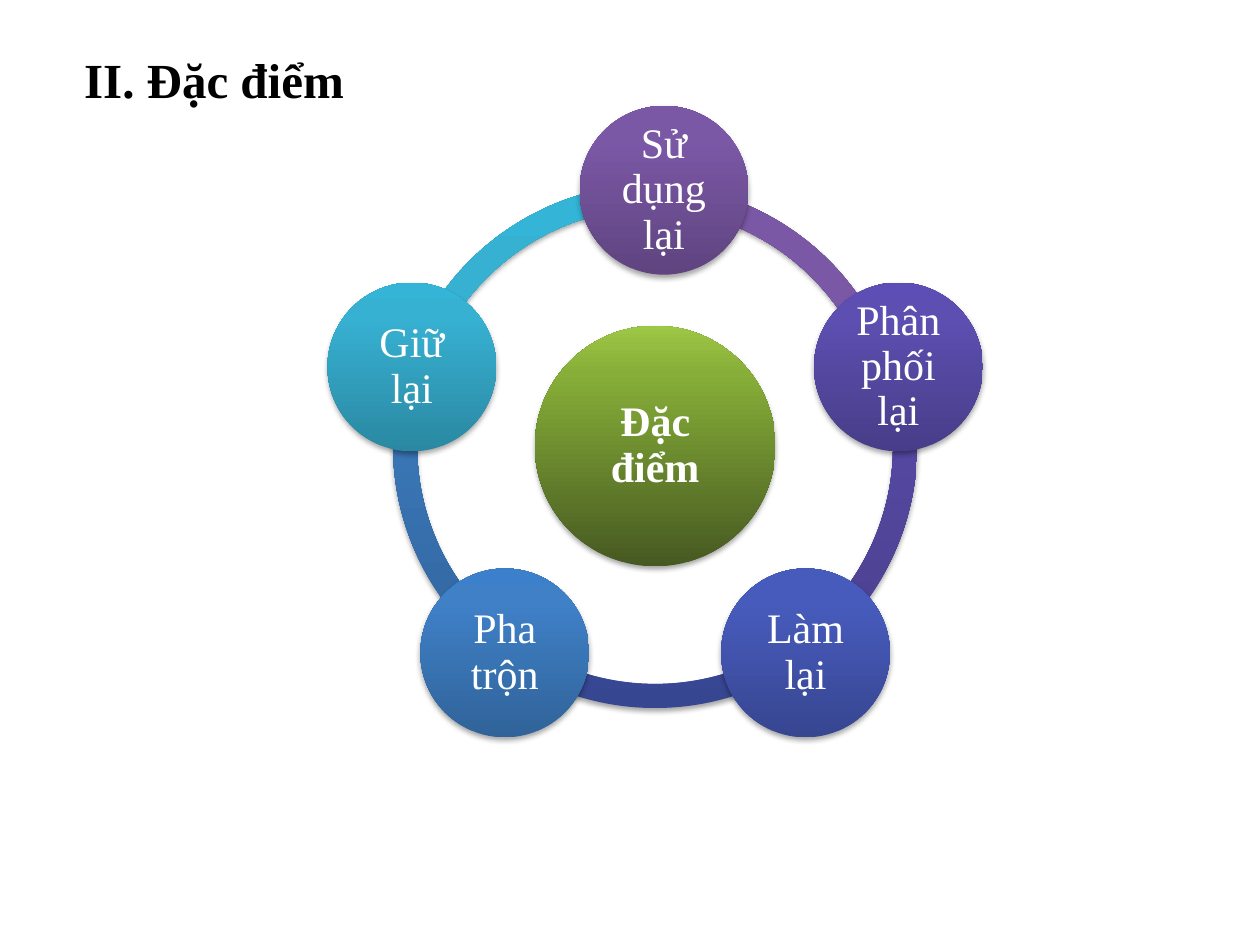
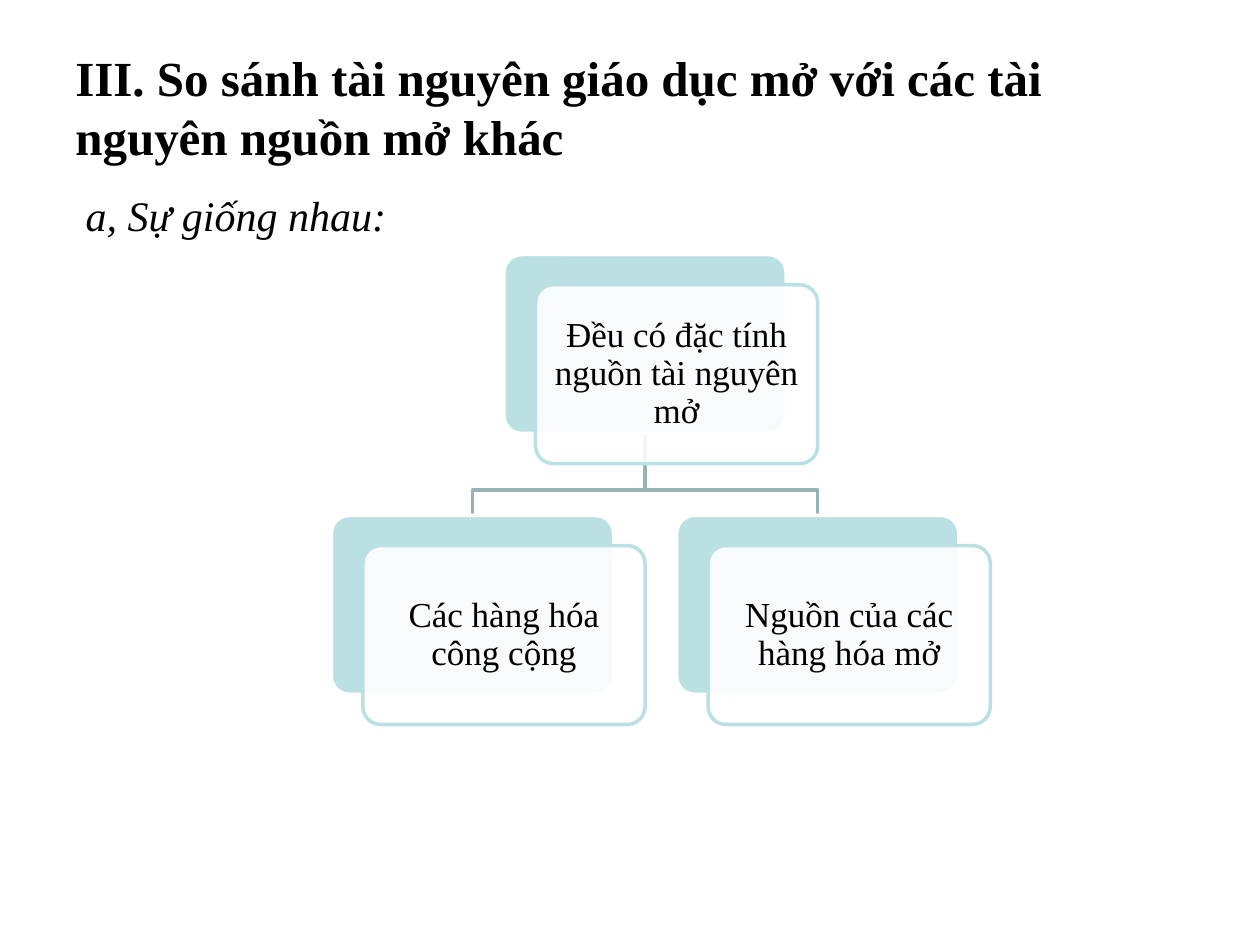
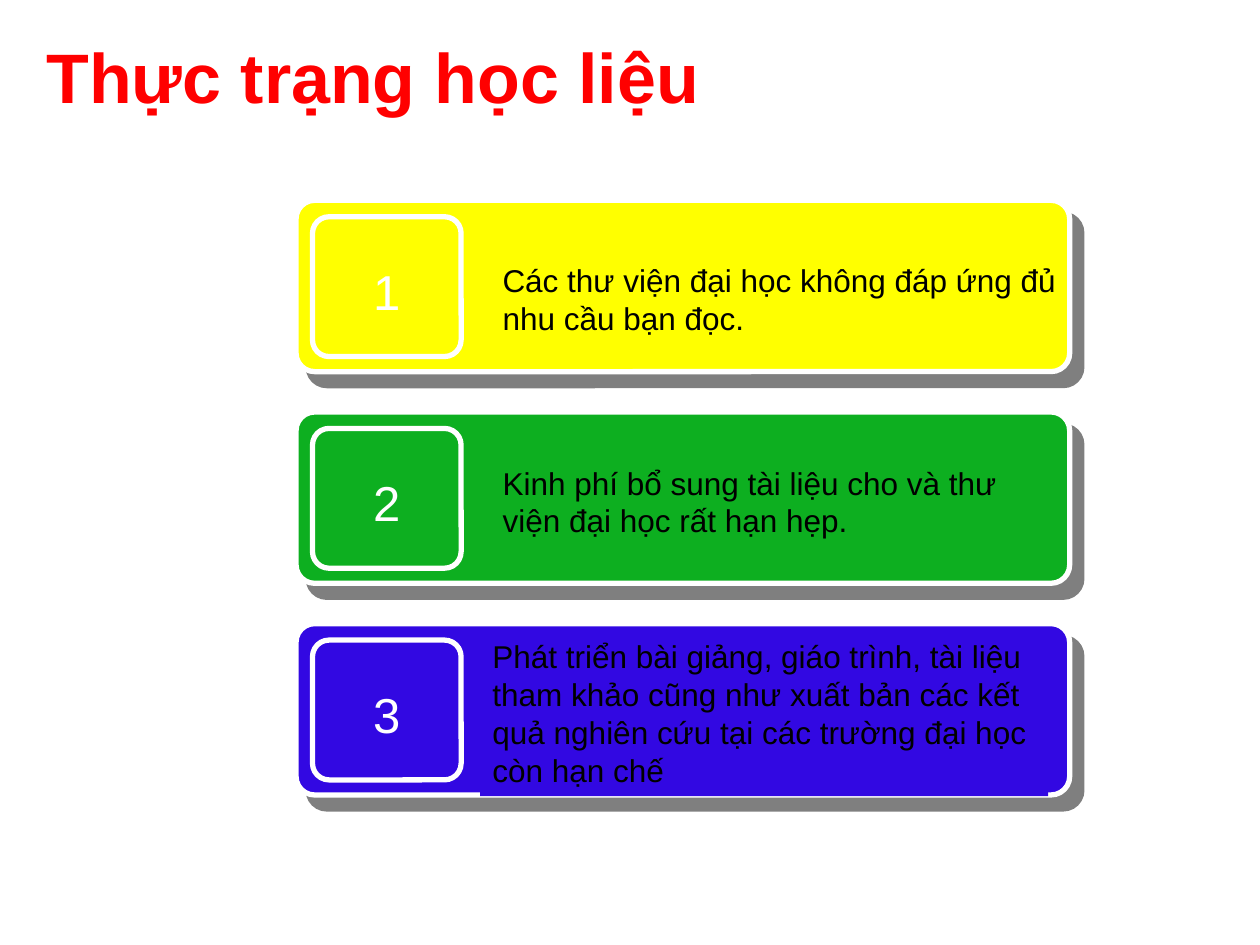
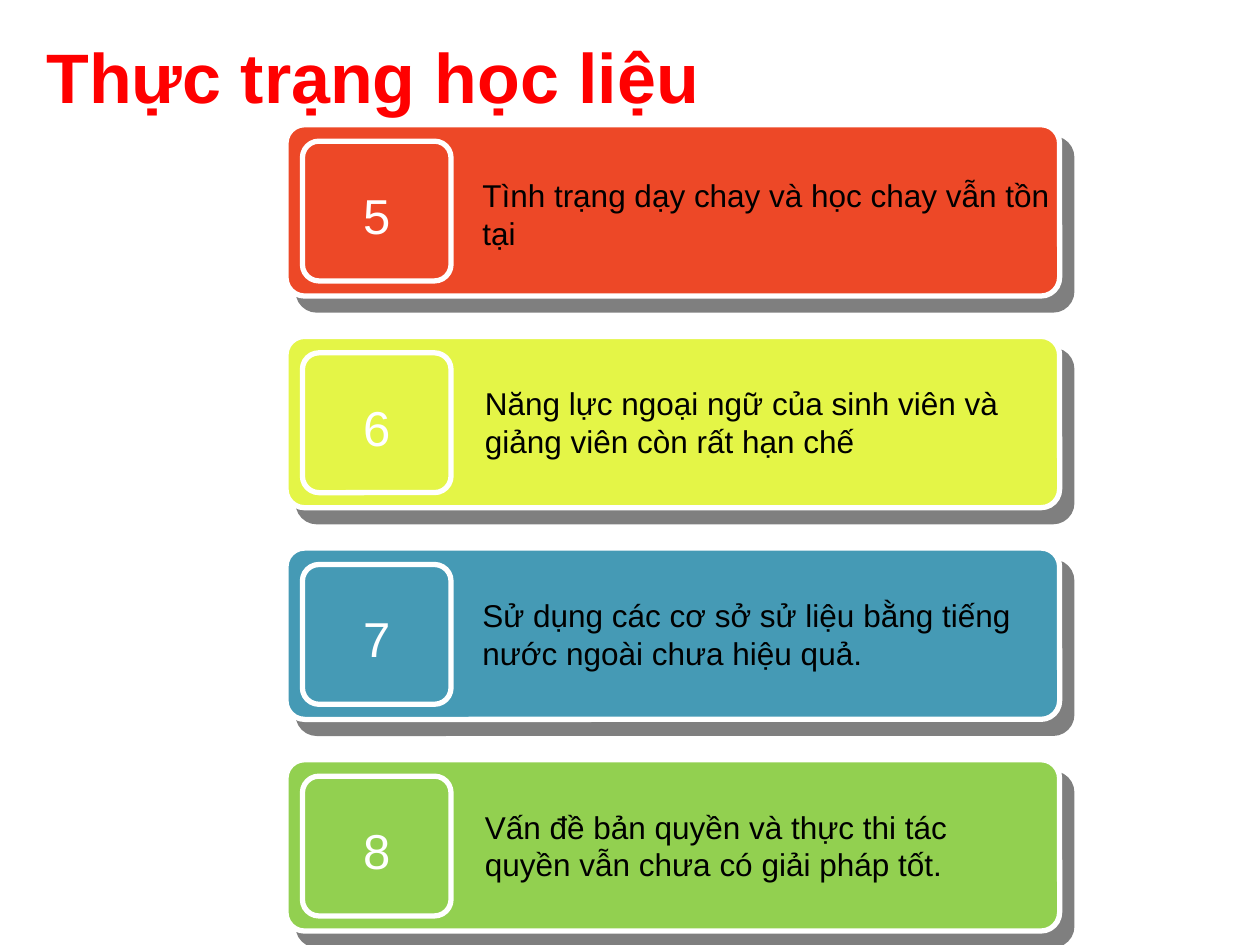
from dataclasses import dataclass
from math import cos, radians, sin

from lxml import etree
from pptx import Presentation
from pptx.dml.color import RGBColor
from pptx.enum.shapes import MSO_SHAPE
from pptx.enum.text import MSO_ANCHOR, MSO_AUTO_SIZE, PP_ALIGN
from pptx.oxml.ns import qn
from pptx.util import Inches, Pt

ARC = MSO_SHAPE.BLOCK_ARC
OVAL = MSO_SHAPE.OVAL
ROUNDED = MSO_SHAPE.ROUNDED_RECTANGLE
CENTER = PP_ALIGN.CENTER
LEFT = PP_ALIGN.LEFT
MIDDLE = MSO_ANCHOR.MIDDLE
TOP = MSO_ANCHOR.TOP
GROW = MSO_AUTO_SIZE.SHAPE_TO_FIT_TEXT
BLANK_LAYOUT = 6


@dataclass(frozen=True)
class Theme:
    serif: str = "Times New Roman"
    sans: str = "Arial"
    black: str = "000000"
    white: str = "FFFFFF"
    red: str = "FF0000"
    pale_teal: str = "BBE0E3"
    branch: str = "96B3B6"
    # Gradient stops at 0, 80 and 100 %, from bottom to top
    purple: tuple = ("5F4480", "7B58A6", "7C57A8")
    violet: tuple = ("483D89", "5D4FB1", "5C4EB4")
    indigo: tuple = ("374691", "475BBC", "455ABF")
    blue: tuple = ("306399", "3F80C7", "3C80CB")
    cyan: tuple = ("2A88A2", "37B1D2", "34B4D6")
    green: tuple = ("465921", "87AE38", "9DC746")
    # Shadows: opacity %, blur pt, distance pt, direction in degrees
    soft_shadow: tuple = (35, 3.1, 1.8, 90)
    hard_shadow: tuple = (50, 0, 10.6, 49)
    heading_size: int = 28
    banner_size: int = 40
    node_size: int = 24
    box_size: int = 20
    caption_size: int = 18


THEME = Theme()


@dataclass
class Card:
    number: str
    color: str
    text: str
    # Caption place, measured from the card's top left corner
    left: float
    top: float
    width: float = 4.51
    height: float = 0.71
    filled: bool = True


# Formatting helpers
def add_color(parent, color, opacity=100):
    node = etree.SubElement(parent, qn("a:srgbClr"), val=color)
    if opacity < 100:
        etree.SubElement(node, qn("a:alpha"), val=str(opacity * 1000))


def fill_solid(shape, color, opacity=100):
    shape.fill.solid()
    shape.fill.fore_color.rgb = RGBColor.from_string(color)
    if opacity < 100:
        solid = shape._element.spPr.find(qn("a:solidFill"))
        solid.clear()
        add_color(solid, color, opacity)


def fill_gradient(shape, colors):
    shape.fill.gradient()
    shape.fill.gradient_angle = 90
    stops = shape._element.spPr.find(qn("a:gradFill")).find(qn("a:gsLst"))
    stops.clear()
    for position, color in zip((0, 80, 100), colors):
        add_color(etree.SubElement(stops, qn("a:gs"), pos=str(position * 1000)), color)


def set_line(shape, color=None, width=2):
    if color is None:
        shape.line.fill.background()
        return
    shape.line.color.rgb = RGBColor.from_string(color)
    shape.line.width = Pt(width)


def set_shadow(shape, shadow):
    opacity, blur, distance, direction = shadow
    effects = shape._element.spPr.find(qn("a:effectLst"))
    outer = etree.SubElement(
        effects, qn("a:outerShdw"), blurRad=str(Pt(blur)), dist=str(Pt(distance)),
        dir=str(direction * 60000), algn="ctr", rotWithShape="0")
    add_color(outer, THEME.black, opacity)


def write(shape, text, size, font, color=THEME.black, bold=False, italic=False,
          align=LEFT, anchor=TOP, spacing=None, inset=None):
    frame = shape.text_frame
    frame.word_wrap = True
    frame.vertical_anchor = anchor
    if inset is not None:
        frame.margin_left = frame.margin_right = Inches(inset)
        frame.margin_top = frame.margin_bottom = Inches(inset)
    frame.text = text
    for para in frame.paragraphs:
        para.alignment = align
        if spacing:
            para.line_spacing = spacing
        for span in para.runs:
            span.font.name = font
            span.font.size = Pt(size)
            span.font.bold = bold
            span.font.italic = italic
            span.font.color.rgb = RGBColor.from_string(color)
    return frame


# Elements
def add_shape(page, kind, left, top, width, height, adjustments=()):
    shape = page.shapes.add_shape(
        kind, Inches(left), Inches(top), Inches(width), Inches(height))
    shape.shadow.inherit = False
    for index, value in enumerate(adjustments):
        shape.adjustments[index] = value
    return shape


def add_text(page, left, top, width, height, text, size, font, **style):
    box = page.shapes.add_textbox(
        Inches(left), Inches(top), Inches(width), Inches(height))
    write(box, text, size, font, **style)
    return box


def add_heading(page, left, top, height, text):
    add_text(page, left, top, 9, height, text, THEME.heading_size, THEME.serif,
             bold=True, anchor=MIDDLE)


def add_banner(page):
    add_text(page, 0.27, 0.35, 8.22, 0.5, "Thực trạng học liệu",
             THEME.banner_size, THEME.sans, color=THEME.red, bold=True, anchor=MIDDLE)


def add_glossy(page, kind, center_x, center_y, size, colors, adjustments=()):
    shape = add_shape(page, kind, center_x - size / 2, center_y - size / 2,
                      size, size, adjustments)
    fill_gradient(shape, colors)
    set_line(shape)
    set_shadow(shape, THEME.soft_shadow)
    return shape


def add_circle(page, center_x, center_y, size, colors, text, bold=False):
    circle = add_glossy(page, OVAL, center_x, center_y, size, colors)
    write(circle, text, THEME.node_size, THEME.serif, color=THEME.white, bold=bold,
          align=CENTER, anchor=MIDDLE, spacing=0.9, inset=0.03)


def add_wheel(page, center_x, center_y, hub, nodes):
    count, step, radius = len(nodes), 360 / len(nodes), 2.03
    angles = [(270 + step * index) % 360 for index in range(count)]

    # Ring: one arc from each node to the next, the first a little to the left
    for index in reversed(range(count)):
        ends = [angles[index] * 0.6, angles[(index + 1) % count] * 0.6]
        shift = 0 if index else -0.09
        add_glossy(page, ARC, center_x + shift, center_y, 4.16, nodes[index][1],
                   ends + [0.046])

    # Hub and nodes, the first node a little to the right
    add_circle(page, center_x, center_y, 1.91, THEME.green, hub, bold=True)
    for index, (text, colors) in enumerate(nodes):
        angle = radians(angles[index])
        shift = 0 if index else 0.07
        add_circle(page, center_x + radius * cos(angle) + shift,
                   center_y + radius * sin(angle), 1.34, colors, text)


def add_branch(page, start_x, start_y, end_x, end_y):
    bend_y = end_y - 0.2
    builder = page.shapes.build_freeform(Inches(start_x), Inches(start_y))
    builder.add_line_segments(
        [(Inches(x), Inches(y)) for x, y in
         ((start_x, bend_y), (end_x, bend_y), (end_x, end_y))], close=False)
    branch = builder.convert_to_shape()
    branch.shadow.inherit = False
    branch.fill.background()
    set_line(branch, THEME.branch)


def add_layered_box(page, left, top, width, height, text):
    back = add_shape(page, ROUNDED, left, top, width, height, [0.1])
    fill_solid(back, THEME.pale_teal)
    set_line(back, THEME.white)
    front = add_shape(page, ROUNDED, left + 0.25, top + 0.24, width, height, [0.1])
    fill_solid(front, THEME.white, 90)
    set_line(front, THEME.pale_teal)
    write(front, text, THEME.box_size, THEME.serif, align=CENTER, anchor=MIDDLE,
          spacing=0.9, inset=0.08)


def add_card(page, left, top, card):
    panel = add_shape(page, ROUNDED, left, top, 6.14, 1.36, [0.109])
    set_shadow(panel, THEME.hard_shadow)
    badge = add_shape(page, ROUNDED, left + 0.13, top + 0.13, 1.18, 1.11, [0.119])
    for shape in (panel, badge):
        fill_solid(shape, card.color)
        set_line(shape, THEME.white, 3)
    frame = write(badge, card.number, THEME.heading_size, THEME.sans,
                  color=THEME.white, align=CENTER, anchor=MIDDLE)
    frame.margin_top = Inches(0.11)

    caption = add_text(page, left + card.left, top + card.top, card.width, card.height,
                       card.text, THEME.caption_size, THEME.sans)
    caption.text_frame.auto_size = GROW
    if card.filled:
        fill_solid(caption, card.color)


def add_cards(page, left, top, cards):
    for index, card in enumerate(cards):
        add_card(page, left, top + 1.68 * index, card)


# Slides
def build_features(page):
    add_wheel(page, 5.2, 3.54, "Đặc điểm", [
        ("Sử dụng lại", THEME.purple),
        ("Phân phối lại", THEME.violet),
        ("Làm lại", THEME.indigo),
        ("Pha trộn", THEME.blue),
        ("Giữ lại", THEME.cyan),
    ])
    add_heading(page, 0.57, 0, 1.25, "II. Đặc điểm")


def build_similarities(page):
    add_heading(page, 0.5, 0.3, 1.09,
                "III. So sánh tài nguyên giáo dục mở với các tài nguyên nguồn mở khác")
    subtitle = add_text(page, 0.68, 1.39, 2.84, 0.66, "a, Sự giống nhau:",
                        THEME.node_size, THEME.serif, italic=True, anchor=MIDDLE,
                        spacing=0.95, inset=0)
    subtitle.text_frame.paragraphs[0].space_after = Pt(8)

    width, height = 2.24, 1.42
    root_left, root_top, child_top = 4, 2.02, 4.09
    children = [(5.37, "Nguồn của các hàng hóa mở"), (2.63, "Các hàng hóa công cộng")]
    for left, _ in children:
        add_branch(page, root_left + width / 2, root_top + height,
                   left + width / 2, child_top)
    add_layered_box(page, root_left, root_top, width, height,
                    "Đều có đặc tính nguồn tài nguyên mở")
    for left, text in reversed(children):
        add_layered_box(page, left, child_top, width, height, text)


def build_library_status(page):
    add_cards(page, 2.35, 1.59, [
        Card("1", "FFFF00", "Các thư viện đại học không đáp ứng đủ\nnhu cầu bạn đọc.",
             1.54, 0.43, width=5, filled=False),
        Card("2", "0DAF20",
             "Kinh phí bổ sung tài liệu cho và thư viện đại học rất hạn hẹp.",
             1.54, 0.36),
        Card("3", "3208E2",
             "Phát triển bài giảng, giáo trình, tài liệu tham khảo cũng như xuất bản "
             "các kết quả nghiên cứu tại các trường đại học còn hạn chế",
             1.46, 0.06, height=1.31),
    ])
    add_banner(page)


def build_teaching_status(page):
    add_cards(page, 2.27, 0.99, [
        Card("5", "ED4827", "Tình trạng dạy chay và học chay vẫn tồn tại",
             1.46, 0.36, width=5, filled=False),
        Card("6", "E4F547",
             "Năng lực ngoại ngữ của sinh viên và giảng viên còn rất hạn chế",
             1.48, 0.33),
        Card("7", "459AB5",
             "Sử dụng các cơ sở sử liệu bằng tiếng nước ngoài chưa hiệu quả.",
             1.46, 0.33),
        Card("8", "92D050",
             "Vấn đề bản quyền và thực thi tác quyền vẫn chưa có giải pháp tốt.",
             1.48, 0.33),
    ])
    add_banner(page)


def main():
    deck = Presentation()
    deck.slide_width = Inches(10)
    deck.slide_height = Inches(7.5)
    for build in (build_features, build_similarities,
                  build_library_status, build_teaching_status):
        build(deck.slides.add_slide(deck.slide_layouts[BLANK_LAYOUT]))
    deck.save("out.pptx")


if __name__ == "__main__":
    main()
